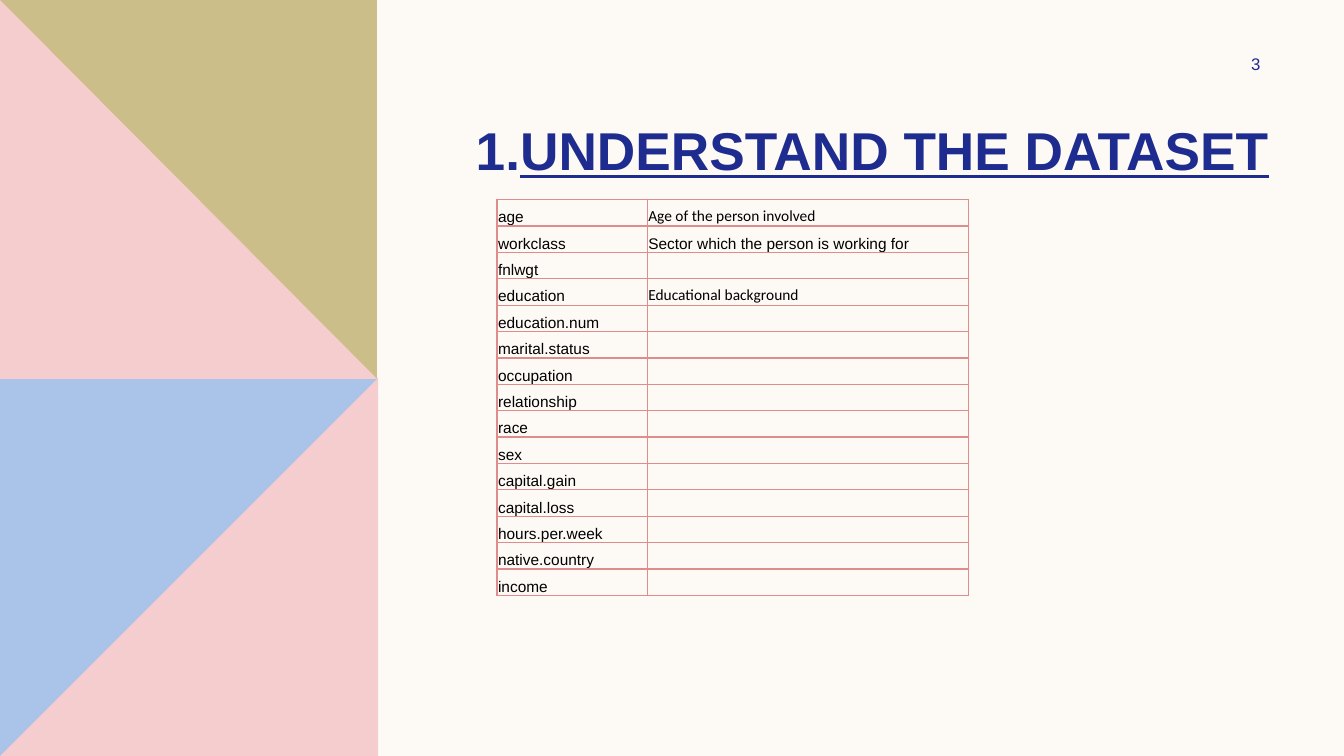
from lxml import etree
from pptx import Presentation
from pptx.dml.color import RGBColor
from pptx.enum.text import MSO_ANCHOR, PP_ALIGN
from pptx.oxml.ns import qn
from pptx.util import Inches, Pt

BOTTOM, MIDDLE = MSO_ANCHOR.BOTTOM, MSO_ANCHOR.MIDDLE
LEFT, RIGHT = PP_ALIGN.LEFT, PP_ALIGN.RIGHT

COLORS = {
    "page": "FDFAF6", "navy": "1F2C8F", "blue": "AAC3E8", "pink": "F5CDCE",
    "olive": "CCBE89", "border": "DE8C8C", "black": "000000",
}

# Left panel, back to front: colour and corner points
PANEL = [
    ("blue", [(0, 3.75), (3.75, 3.75), (3.75, 7.5), (0, 7.5)]),
    ("pink", [(3.75, 3.75), (3.75, 7.5), (0, 7.5)]),
    ("olive", [(0, 0), (3.74, 0), (3.74, 3.76), (0, 3.76)]),
    ("pink", [(0, 0), (3.74, 3.76), (0, 3.76)]),
]

# Column name, description, font of the description
DATASET = [
    ("age", "Age of the person involved", "Calibri"),
    ("workclass", "Sector which the person is working for", "Arial"),
    ("fnlwgt", "", "Arial"),
    ("education", "Educational background", "Calibri"),
] + [(name, "", "Arial") for name in (
    "education.num", "marital.status", "occupation", "relationship", "race",
    "sex", "capital.gain", "capital.loss", "hours.per.week",
    "native.country", "income")]
COLUMN_WIDTHS = (1.49, 3.19)
ROW_HEIGHT = 0.262
CELL_FORMAT = {
    "margin_left": Inches(0.01), "margin_right": Inches(0.01),
    "margin_top": Inches(0.01), "margin_bottom": 0, "vertical_anchor": BOTTOM,
}


def rgb(name):
    return RGBColor.from_string(COLORS[name])


def set_attributes(target, values):
    for name, value in values.items():
        setattr(target, name, value)


def add_span(para, text, color, **font_format):
    span = para.add_run()
    span.text = text
    set_attributes(span.font, font_format)
    span.font.color.rgb = rgb(color)


def add_polygon(page, color, points):
    start, *others = [(Inches(x), Inches(y)) for x, y in points]
    builder = page.shapes.build_freeform(*start)
    builder.add_line_segments(others, close=True)
    shape = builder.convert_to_shape()
    shape.shadow.inherit = False
    shape.fill.solid()
    shape.fill.fore_color.rgb = rgb(color)
    shape.line.fill.background()


def add_text(page, place, text, frame_format, align, **font_format):
    box = page.shapes.add_textbox(*map(Inches, place))
    set_attributes(box.text_frame, {"word_wrap": True, **frame_format})
    para = box.text_frame.paragraphs[0]
    para.alignment = align
    add_span(para, text, "navy", name="Arial", **font_format)
    return para


def number_paragraph(para, indent):
    properties = para._p.get_or_add_pPr()
    properties.set("marL", str(Inches(indent)))
    properties.set("indent", str(-Inches(indent)))
    etree.SubElement(properties, qn("a:buFont"), typeface="+mj-lt")
    etree.SubElement(properties, qn("a:buAutoNum"), type="arabicPeriod")


def add_borders(cell):
    properties = cell._tc.get_or_add_tcPr()
    for side in ("a:lnL", "a:lnR", "a:lnT", "a:lnB"):
        line = etree.SubElement(properties, qn(side), w=str(Pt(1)))
        fill = etree.SubElement(line, qn("a:solidFill"))
        etree.SubElement(fill, qn("a:srgbClr"), val=COLORS["border"])


def fill_cell(cell, text, font):
    set_attributes(cell, CELL_FORMAT)
    add_borders(cell)
    cell.fill.background()
    para = cell.text_frame.paragraphs[0]
    if text:
        add_span(para, text, "black", name=font, size=Pt(11))
    else:
        # Small end mark, so that an empty cell keeps the row height
        etree.SubElement(para._p, qn("a:endParaRPr"), sz="1100")


def add_dataset_table(page, left, top):
    table = page.shapes.add_table(
        len(DATASET), len(COLUMN_WIDTHS), Inches(left), Inches(top),
        Inches(sum(COLUMN_WIDTHS)), Inches(ROW_HEIGHT * len(DATASET))).table
    set_attributes(table, {"first_row": False, "horz_banding": False})
    for column, width in zip(table.columns, COLUMN_WIDTHS):
        column.width = Inches(width)
    for row, (name, description, font) in zip(table.rows, DATASET):
        row.height = Inches(ROW_HEIGHT)
        fill_cell(row.cells[0], name, "Arial")
        fill_cell(row.cells[1], description, font)


def main():
    deck = Presentation()
    deck.slide_width, deck.slide_height = Inches(13.33), Inches(7.5)
    page = deck.slides.add_slide(deck.slide_layouts[6])
    page.background.fill.solid()
    page.background.fill.fore_color.rgb = rgb("page")

    # Decorative panel
    for color, points in PANEL:
        add_polygon(page, color, points)

    # Numbered title
    title = add_text(page, (4.62, 0.89, 8.26, 0.96), "UNDERSTAND THE DATASET",
                     {"vertical_anchor": BOTTOM}, LEFT,
                     size=Pt(38), bold=True, underline=True)
    number_paragraph(title, 0.44)

    # Dataset columns
    add_dataset_table(page, 4.93, 1.98)

    # Page number
    add_text(page, (11.42, 0.5, 1.08, 0.27), "3",
             {"vertical_anchor": MIDDLE, "margin_right": 0}, RIGHT, size=Pt(12))

    deck.save("out.pptx")


if __name__ == "__main__":
    main()
